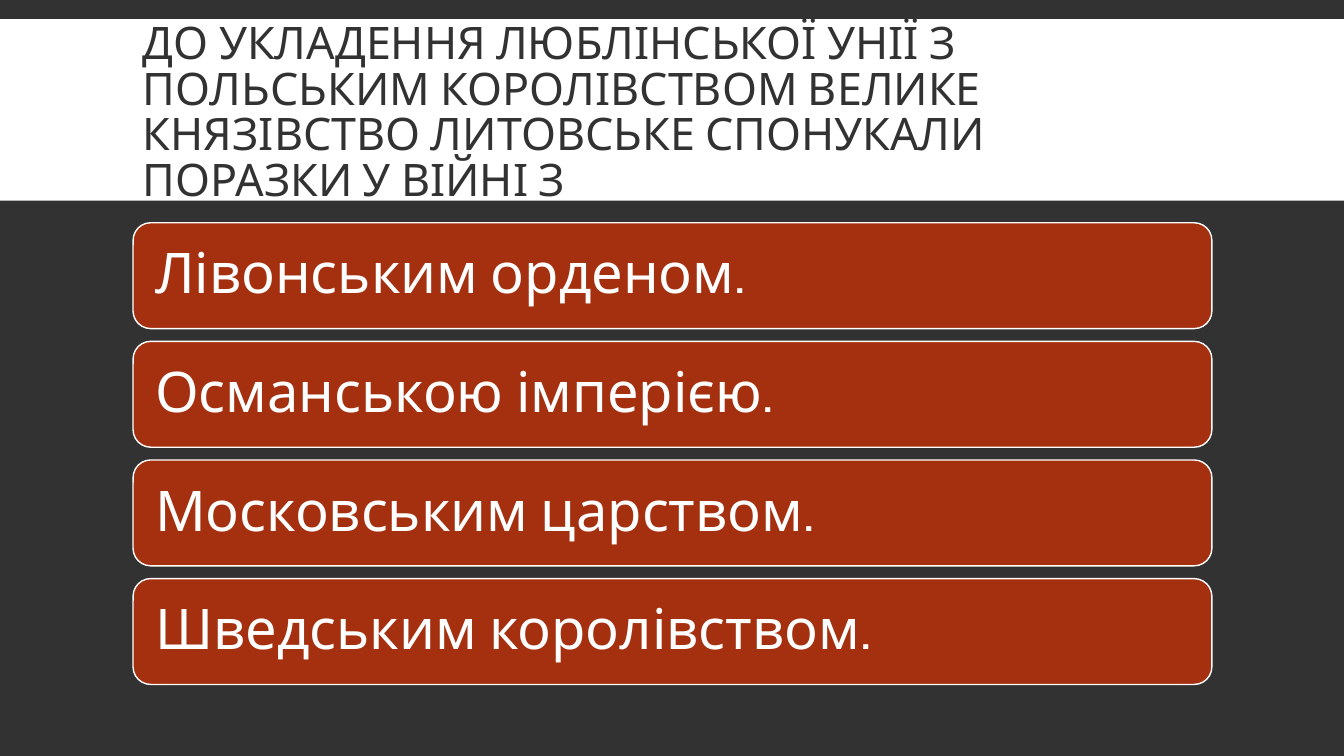
from pptx import Presentation
from pptx import util as u
from pptx.dml import color
from pptx.enum import shapes, text

DARK, WHITE, RUST = "323232", "FFFFFF", "A5300F"
FONT = "Cabin"
LEFT, WIDTH = 1.32, 10.7
FIRST_TOP, LAST_TOP, BAR_HEIGHT = 2.21, 5.74, 1.05
BAR_PADDING = 0.05

QUESTION = ("ДО УКЛАДЕННЯ ЛЮБЛІНСЬКОЇ УНІЇ З ПОЛЬСЬКИМ КОРОЛІВСТВОМ ВЕЛИКЕ "
            "КНЯЗІВСТВО ЛИТОВСЬКЕ СПОНУКАЛИ ПОРАЗКИ У ВІЙНІ З")
ANSWERS = ["Лівонським орденом.", "Османською імперією.",
           "Московським царством.", "Шведським королівством."]
ROW_STEP = (LAST_TOP - FIRST_TOP) / (len(ANSWERS) - 1)


def rgb(value):
    return color.RGBColor.from_string(value)


def add_panel(slide, preset, box, fill, outline=None):
    panel = slide.shapes.add_shape(preset, *map(u.Inches, box))
    panel.shadow.inherit = False
    panel.fill.solid()
    panel.fill.fore_color.rgb = rgb(fill)
    if outline:
        panel.line.color.rgb = rgb(outline)
        panel.line.width = u.Pt(1)
    else:
        panel.line.fill.background()


def add_label(slide, wording, box, size, ink, spacing, insets):
    frame = slide.shapes.add_textbox(*map(u.Inches, box)).text_frame
    frame.word_wrap = True
    frame.vertical_anchor = text.MSO_ANCHOR.MIDDLE
    (frame.margin_left, frame.margin_top,
     frame.margin_right, frame.margin_bottom) = map(u.Inches, insets)
    frame.text = wording
    paragraph = frame.paragraphs[0]
    paragraph.line_spacing = spacing
    font = paragraph.runs[0].font
    font.name, font.size = FONT, u.Pt(size)
    font.color.rgb = rgb(ink)


def add_answer(slide, row, wording):
    top = FIRST_TOP + row * ROW_STEP
    add_panel(slide, shapes.MSO_SHAPE.ROUNDED_RECTANGLE,
              (LEFT, top, WIDTH, BAR_HEIGHT), RUST, WHITE)
    inner = (LEFT + BAR_PADDING, top + BAR_PADDING,
             WIDTH - 2 * BAR_PADDING, BAR_HEIGHT - 2 * BAR_PADDING)
    add_label(slide, wording, inner, 40, WHITE, 0.9, [0.17] * 4)


def main():
    deck = Presentation()
    deck.slide_width, deck.slide_height = u.Inches(13.33), u.Inches(7.5)
    slide = deck.slides.add_slide(deck.slide_layouts[6])
    slide.background.fill.solid()
    slide.background.fill.fore_color.rgb = rgb(DARK)

    # Question on the white band
    add_panel(slide, shapes.MSO_SHAPE.RECTANGLE, (0, 0.19, 13.33, 1.8), WHITE)
    add_label(slide, QUESTION, (LEFT, 0.31, WIDTH, 1.65), 32, DARK, 0.85,
              (0.1, 0.05, 0.2, 0.05))

    # Answer bars
    for row, wording in enumerate(ANSWERS):
        add_answer(slide, row, wording)

    deck.save("out.pptx")


if __name__ == "__main__":
    main()
